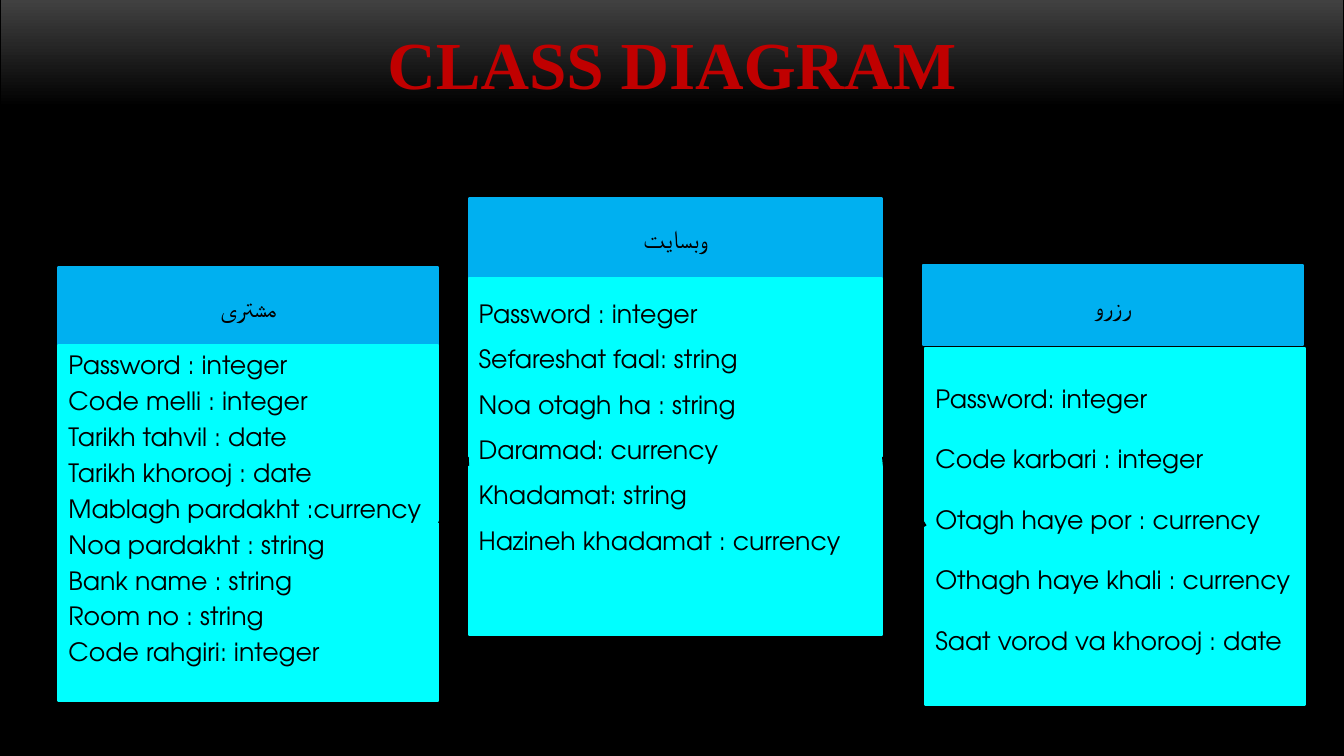
from pptx import Presentation
from pptx.dml.color import RGBColor
from pptx.enum.shapes import MSO_CONNECTOR, MSO_SHAPE
from pptx.enum.text import MSO_ANCHOR, PP_ALIGN
from pptx.oxml.ns import qn
from pptx.util import Pt
from lxml import etree

BLACK = RGBColor(0x00, 0x00, 0x00)
GRAY = RGBColor(0x41, 0x41, 0x41)
RED = RGBColor(0xC0, 0x00, 0x00)
BLUE = RGBColor(0x00, 0xB0, 0xF0)
CYAN = RGBColor(0x00, 0xFF, 0xFF)
RECT = MSO_SHAPE.RECTANGLE
LINE = MSO_CONNECTOR.STRAIGHT
TOP, MIDDLE, BOTTOM = MSO_ANCHOR.TOP, MSO_ANCHOR.MIDDLE, MSO_ANCHOR.BOTTOM
LEFT, CENTER = PP_ALIGN.LEFT, PP_ALIGN.CENTER
SANS, SERIF = "TeX Gyre Adventor", "Times New Roman"

deck = Presentation()
deck.slide_width, deck.slide_height = Pt(960), Pt(540)
slide = deck.slides.add_slide(deck.slide_layouts[6])
slide.background.fill.solid()
slide.background.fill.fore_color.rgb = BLACK


def add_box(text, place, fill=CYAN, edge=1.5, anchor=MIDDLE, align=CENTER,
            font=SANS, size=18, color=BLACK, bold=False, gap=0, pitch=None):
    box = slide.shapes.add_shape(RECT, *[Pt(n) for n in place])
    box.shadow.inherit = False
    box.fill.solid()
    box.fill.fore_color.rgb = fill
    box.line.color.rgb = fill
    box.line.width = Pt(edge)
    frame = box.text_frame
    frame.word_wrap = True
    frame.vertical_anchor = anchor
    frame.text = text
    for para in frame.paragraphs:
        para.alignment = align
        para.space_before = para.space_after = Pt(gap)
        if pitch:
            para.line_spacing = pitch
        para.font.name = font
        para.font.size = Pt(size)
        para.font.bold = bold
        para.font.color.rgb = color
    return box


# Title band
band = add_box("CLASS DIAGRAM", (0, 0, 960, 77), fill=BLACK, edge=0.75,
               anchor=BOTTOM, font=SERIF, size=48, color=RED, bold=True)
band.fill.gradient()
band.fill.gradient_angle = 270
for stop, shade in zip(band.fill.gradient_stops, (GRAY, BLACK)):
    stop.color.rgb = shade

# Classes: name, head left and top, body left and top, width, spacing, fields
HEAD, BODY = 56.9, 254.9
classes = [
    ("مشتری", (41.8, 190.8), (41.8, 246.2), 271.4, {"gap": 2},
     ["Password : integer", "Code melli : integer", "Tarikh tahvil : date",
      "Tarikh khorooj : date", "Mablagh pardakht :currency",
      "Noa pardakht : string", "Bank name : string", "Room no : string",
      "Code rahgiri: integer"]),
    ("وبسایت", (334.8, 141.8), (334.8, 198.7), 295.2, {"pitch": 1.5},
     ["Password : integer", "Sefareshat faal: string",
      "Noa otagh ha : string", "Daramad: currency", "Khadamat: string",
      "Hazineh khadamat : currency"]),
    ("رزرو", (659.5, 189.4), (661, 248.4), 271.4, {"pitch": 2.0},
     ["Password: integer", "Code karbari : integer",
      "Otagh haye por : currency", "Othagh haye khali : currency",
      "Saat vorod va khorooj : date"]),
]
for name, head, body, width, space, fields in classes:
    add_box(name, (*head, width, HEAD), fill=BLUE)
    add_box("\n".join(fields), (*body, width, BODY),
            anchor=TOP, align=LEFT, **space)

# Arrows from the outer classes to the middle one
for ends in ((313.9, 373.7, 334.8, 326.2), (661, 375.8, 630, 326.2)):
    arrow = slide.shapes.add_connector(LINE, *[Pt(n) for n in ends])
    arrow.line.color.rgb = BLACK
    arrow.line.width = Pt(2)
    edge = arrow.line._get_or_add_ln()
    etree.SubElement(edge, qn("a:tailEnd"), type="triangle")
    etree.SubElement(arrow._element.spPr, qn("a:effectLst"))

deck.save("out.pptx")
